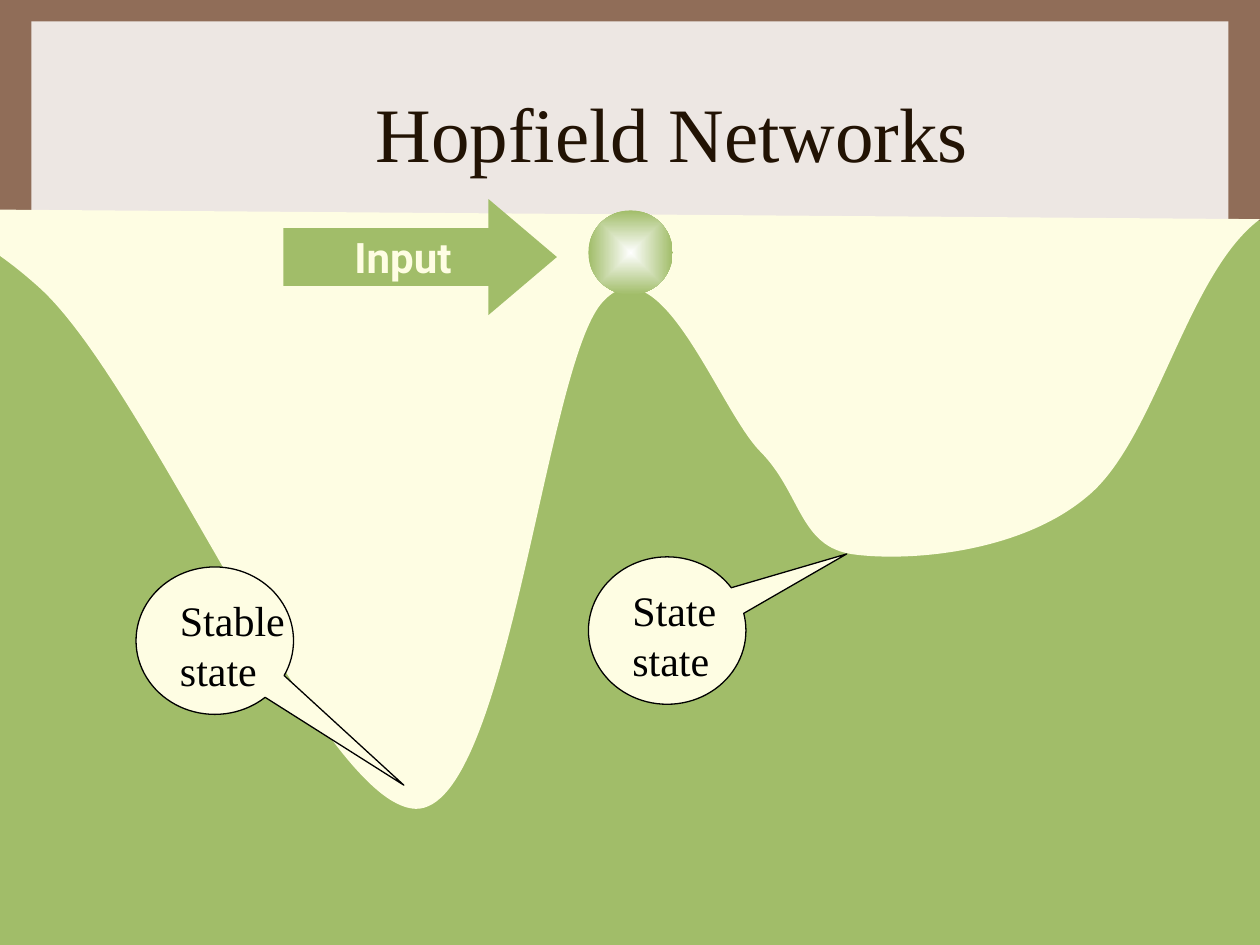
import pptx
import pptx.util
import pptx.dml.color
import pptx.enum.shapes
import pptx.enum.text
import pptx.oxml
import lxml.etree

Inches = pptx.util.Inches
SHAPE = pptx.enum.shapes.MSO_SHAPE
ALIGN = pptx.enum.text.PP_ALIGN
ANCHOR = pptx.enum.text.MSO_ANCHOR
FIT = pptx.enum.text.MSO_AUTO_SIZE

GREEN, CREAM, BLACK = "A1BD69", "FEFDE3", "000000"
SERIF = "Times New Roman"
SPACE = "http://schemas.openxmlformats.org/drawingml/2006/main"
START = (-1.92, 1.65)
CURVES = [
    ((-1.23, 1.58), (-0.55, 1.5), (0.32, 2.29)),
    ((1.19, 3.09), (2.55, 6.4), (3.3, 6.42)),
    ((4.04, 6.43), (4.33, 2.86), (4.79, 2.39)),
    ((5.24, 1.91), (5.7, 3.24), (6.03, 3.58)),
    ((6.36, 3.91), (6.34, 4.34), (6.77, 4.4)),
    ((7.21, 4.46), (8.1, 4.39), (8.63, 3.94)),
    ((9.17, 3.5), (9.42, 2.17), (10, 1.74)),
]


def color(code):
    return pptx.dml.color.RGBColor.from_string(code)


def tag(name):
    return "{%s}%s" % (SPACE, name)


def write(frame, text, size=24, font=SERIF, ink=BLACK, bold=False,
          align=ALIGN.LEFT, anchor=ANCHOR.TOP, wrap=False, fit=FIT.NONE):
    frame.text = text
    frame.word_wrap = wrap
    frame.auto_size = fit
    frame.vertical_anchor = anchor
    for para in frame.paragraphs:
        para.alignment = align
        for run in para.runs:
            run.font.size = pptx.util.Pt(size)
            run.font.name = font
            run.font.bold = bold
            run.font.color.rgb = color(ink)


def paint(shape, fill, line=None):
    shape.shadow.inherit = False
    shape.fill.solid()
    shape.fill.fore_color.rgb = color(fill)
    if line:
        shape.line.color.rgb = color(line)
        shape.line.width = pptx.util.Pt(0.75)
    else:
        shape.line.fill.background()


def draw(slide, kind, box, fill, line=None, adjust=()):
    shape = slide.shapes.add_shape(kind, *map(Inches, box))
    paint(shape, fill, line)
    for spot, value in enumerate(adjust):
        shape.adjustments[spot] = value
    return shape


def backdrop(slide, box):
    left, top, width, height = box
    master = slide.slide_layout.slide_master
    master.background.fill.solid()
    master.background.fill.fore_color.rgb = color("906D58")
    panel = draw(slide, SHAPE.RECTANGLE,
                 (left + 0.25, top + 0.17, width - 0.5, height - 0.43), "EDE7E3")
    panel.element.nvSpPr.cNvPr.set("id", "20")
    master.shapes[0].element.addprevious(panel.element)
    draw(slide, SHAPE.RECTANGLE,
         (left, top + 1.75, width, height - 1.75), GREEN)


def heading(slide, box):
    title = slide.shapes.title
    title.left, title.top, title.width, title.height = map(Inches, box)
    write(title.text_frame, "Hopfield Networks", size=44, ink="221304",
          align=ALIGN.CENTER, anchor=ANCHOR.MIDDLE, wrap=True)
    title.element.getparent().append(title.element)


def valley(slide, box):
    left, top = box[:2]
    spots = [(Inches(left + x), Inches(top + y))
             for x, y in [START] + sum(map(list, CURVES), [])]
    builder = slide.shapes.build_freeform(*spots[0])
    builder.add_line_segments(spots[1:], close=True)
    shape = builder.convert_to_shape()
    paint(shape, CREAM)
    lines = list(shape.element.iter(tag("lnTo")))
    for first in range(0, len(lines), 3):
        trio = lines[first:first + 3]
        curve = lxml.etree.Element(tag("cubicBezTo"))
        trio[0].addprevious(curve)
        for line in trio:
            curve.append(line[0])
            line.getparent().remove(line)


def ball(slide, box):
    shape = draw(slide, SHAPE.OVAL, box, GREEN)
    shape.fill.gradient()
    for stop, place, code in zip(shape.fill.gradient_stops, (0, 1),
                                 ("FFFFFF", GREEN)):
        stop.position = place
        stop.color.rgb = color(code)
    grad = shape.element.spPr.find(tag("gradFill"))
    grad.replace(grad.find(tag("lin")), pptx.oxml.parse_xml(
        '<a:path xmlns:a="%s" path="shape"><a:fillToRect l="50000" t="50000" '
        'r="50000" b="50000"/></a:path>' % SPACE))


def callout(slide, box, text, tip, width):
    left, top = box[:2]
    draw(slide, SHAPE.OVAL_CALLOUT, box, CREAM, BLACK, tip)
    label = slide.shapes.add_textbox(
        *map(Inches, (left + 0.25, top + 0.17, width, 0.9)))
    write(label.text_frame, text, fit=FIT.SHAPE_TO_FIT_TEXT)


def arrow(slide, box):
    shape = draw(slide, SHAPE.RIGHT_ARROW, box, GREEN, adjust=(0.5, 0.59))
    write(shape.text_frame, "Input", font="Roboto", ink=CREAM, bold=True,
          align=ALIGN.CENTER, anchor=ANCHOR.MIDDLE)


def main():
    deck = pptx.Presentation()
    deck.slide_width, deck.slide_height = Inches(10), Inches(7.5)
    slide = deck.slides.add_slide(deck.slide_layouts[5])
    page = (0, 0, 10, 7.5)
    backdrop(slide, page)
    heading(slide, (1.17, 0.42, 8.33, 1.25))
    valley(slide, page)
    ball(slide, (4.67, 1.67, 0.67, 0.67))
    callout(slide, (1.08, 4.5, 1.25, 1.17), "Stable\nstate", (1.2, 0.98), 1.03)
    callout(slide, (4.67, 4.42, 1.25, 1.17), "State\nstate", (1.14, -0.52), 0.95)
    arrow(slide, (2.25, 1.58, 2.17, 0.92))
    deck.save("out.pptx")


if __name__ == "__main__":
    main()
